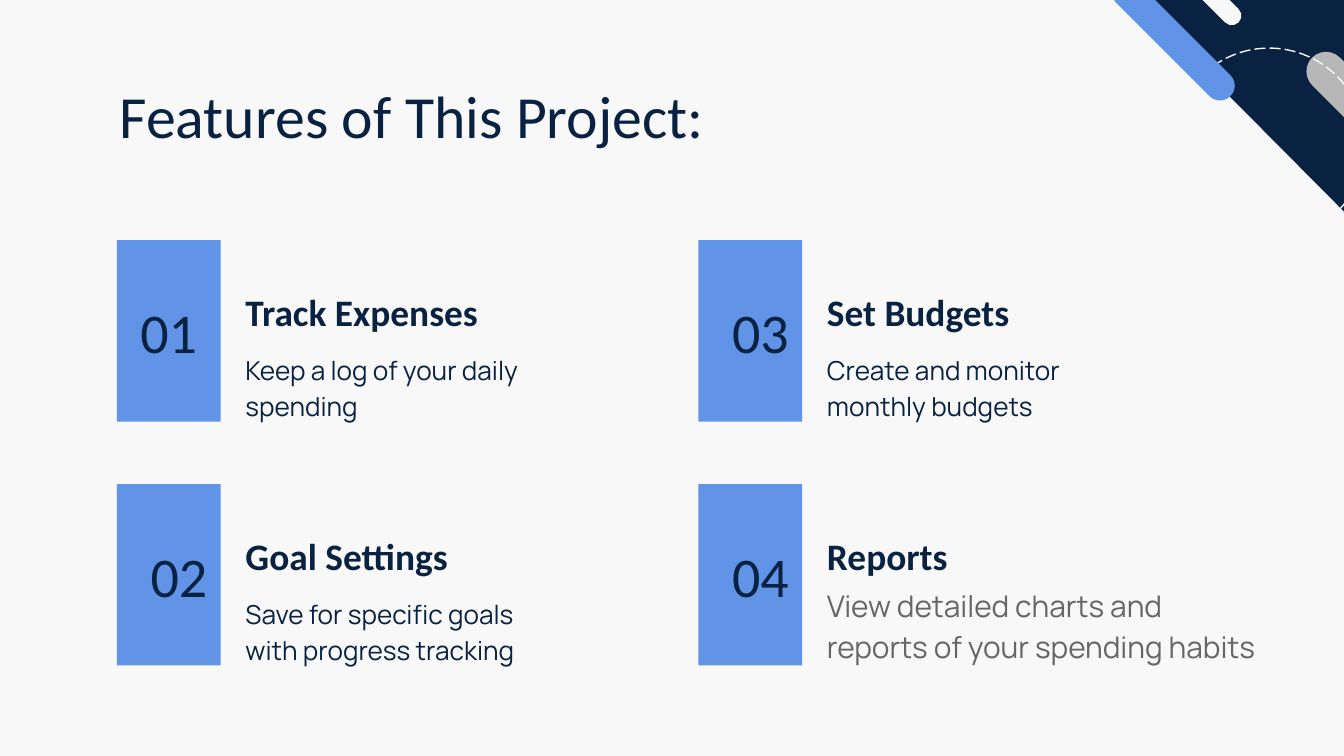
from pptx import Presentation
from pptx.dml.color import RGBColor
from pptx.enum.dml import MSO_LINE
from pptx.enum.shapes import MSO_SHAPE
from pptx.enum.text import MSO_ANCHOR, PP_ALIGN
from pptx.util import Cm, Pt

RECTANGLE = MSO_SHAPE.RECTANGLE
PILL = MSO_SHAPE.ROUNDED_RECTANGLE
TRIANGLE = MSO_SHAPE.RIGHT_TRIANGLE
OVAL = MSO_SHAPE.OVAL
LONG_DASH = MSO_LINE.LONG_DASH
TOP, MIDDLE, BOTTOM = MSO_ANCHOR.TOP, MSO_ANCHOR.MIDDLE, MSO_ANCHOR.BOTTOM
LEFT, CENTER, RIGHT = PP_ALIGN.LEFT, PP_ALIGN.CENTER, PP_ALIGN.RIGHT

NAVY, BLUE, PALE = "092241", "6194E6", "F8F8F8"
SILVER, GRAY = "B7B7B7", "666666"
HEADING_FONT, BODY_FONT = "Calibri", "Manrope"


def color(hex_text):
    return RGBColor.from_string(hex_text)


class SlideBuilder:
    inset = Cm(0.25)

    def __init__(self, slide):
        self.slide = slide
        background = slide.background.fill
        background.solid()
        background.fore_color.rgb = color(PALE)

    def shape(self, kind, left, top, width, height, fill=None, rotation=0):
        shape = self.slide.shapes.add_shape(
            kind, Cm(left), Cm(top), Cm(width), Cm(height))
        shape.shadow.inherit = False
        shape.rotation = rotation
        shape.line.fill.background()
        if fill:
            shape.fill.solid()
            shape.fill.fore_color.rgb = color(fill)
        else:
            shape.fill.background()
        return shape

    def pill(self, left, top, width, height, fill):
        shape = self.shape(PILL, left, top, width, height, fill, rotation=45)
        shape.adjustments[0] = 0.5

    def dashed_circle(self, left, top, diameter):
        line = self.shape(OVAL, left, top, diameter, diameter).line
        line.color.rgb = color(PALE)
        line.width = Pt(0.75)
        line.dash_style = LONG_DASH

    def set_text(self, shape, text, size, font=HEADING_FONT, ink=NAVY,
                 bold=False, align=LEFT, anchor=TOP, spacing=1.0):
        frame = shape.text_frame
        frame.word_wrap = True
        frame.vertical_anchor = anchor
        frame.margin_left = frame.margin_right = self.inset
        frame.margin_top = frame.margin_bottom = self.inset
        frame.text = text
        paragraph = frame.paragraphs[0]
        paragraph.alignment = align
        paragraph.line_spacing = spacing
        run_font = paragraph.runs[0].font
        run_font.name = font
        run_font.size = Pt(size)
        run_font.bold = bold
        run_font.color.rgb = color(ink)

    def text(self, left, top, width, height, text, size, **style):
        box = self.slide.shapes.add_textbox(
            Cm(left), Cm(top), Cm(width), Cm(height))
        self.set_text(box, text, size, **style)

    def number_tile(self, left, top, number, align):
        tile = self.shape(RECTANGLE, left, top, 1.96, 3.43, BLUE)
        self.set_text(tile, number, 30, align=align, anchor=MIDDLE)

    def corner_decoration(self):
        self.shape(TRIANGLE, 21.27, -0.16, 4.29, 4.32, NAVY, rotation=180)
        self.pill(24.33, 1.85, 3.2, 0.74, SILVER)
        self.dashed_circle(22.17, 0.91, 3.63)
        self.pill(20.65, 0.46, 3.05, 0.56, BLUE)
        self.pill(21.59, -0.51, 2.13, 0.36, PALE)


def main():
    presentation = Presentation()
    presentation.slide_width = Cm(25.4)
    presentation.slide_height = Cm(14.29)
    builder = SlideBuilder(
        presentation.slides.add_slide(presentation.slide_layouts[6]))

    builder.corner_decoration()
    builder.text(2.01, 1.24, 21.41, 1.6, "Features of This Project:", 32)

    small = dict(drop=1.83, width=6.43, size=14, ink=NAVY)
    large = dict(drop=1.6, width=8.81, size=16, ink=GRAY)
    features = [
        ("Track Expenses", "Keep a log of your daily spending", CENTER, small),
        ("Goal Settings", "Save for specific goals with progress tracking",
         RIGHT, small),
        ("Set Budgets", "Create and monitor monthly budgets", RIGHT, small),
        ("Reports", "View detailed charts and reports of your spending habits",
         RIGHT, large),
    ]
    for index, (heading, description, align, body) in enumerate(features):
        column, row = divmod(index, 2)
        left = 2.21 + column * 10.99
        top = 4.54 + row * 4.61
        text_left = left + 2.18
        builder.number_tile(left, top, f"{index + 1:02}", align)
        builder.text(text_left, top, 6.43, 2.03, heading, 20,
                     bold=True, anchor=BOTTOM)
        builder.text(text_left, top + body["drop"], body["width"], 1.6,
                     description, body["size"], font=BODY_FONT,
                     ink=body["ink"], spacing=1.15)

    presentation.save("out.pptx")


if __name__ == "__main__":
    main()
